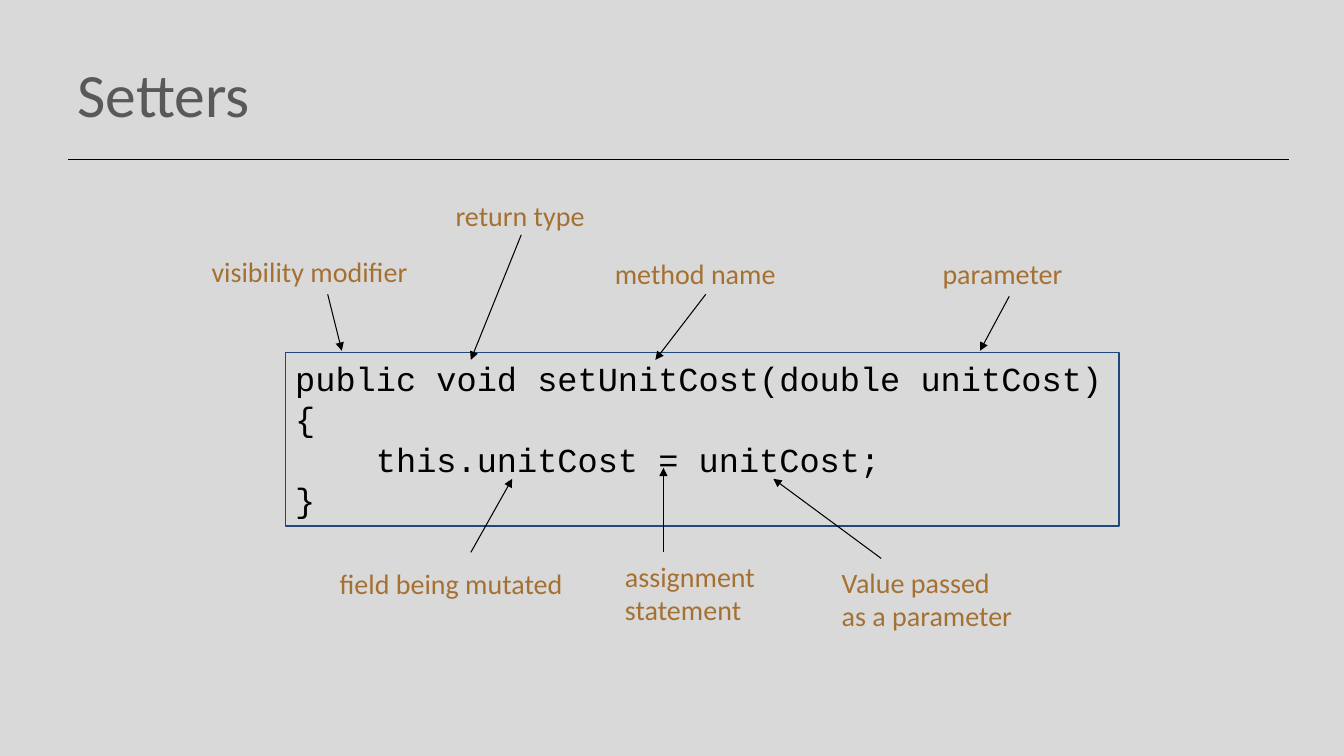
from dataclasses import dataclass

from lxml import etree
from pptx import Presentation
from pptx.dml.color import RGBColor
from pptx.enum.shapes import MSO_CONNECTOR as Connector, MSO_SHAPE as Shape
from pptx.enum.text import MSO_ANCHOR as Anchor, MSO_AUTO_SIZE as AutoSize, PP_ALIGN as Align
from pptx.oxml.ns import qn
from pptx.util import Inches, Pt


@dataclass(frozen=True)
class Theme:
    background: str = "D9D9D9"
    heading: str = "595959"
    label: str = "A57133"
    ink: str = "000000"
    frame: str = "1F497D"
    body_font: str = "Calibri"
    code_font: str = "Courier New"
    heading_size: int = 44
    label_size: int = 20
    code_size: int = 24


def rgb(value):
    return RGBColor.from_string(value)


class SlideBuilder:
    def __init__(self, slide, theme):
        self.slide = slide
        self.theme = theme
        fill = slide.background.fill
        fill.solid()
        fill.fore_color.rgb = rgb(theme.background)

    def set_text(self, holder, text, font, size, color, anchor=Anchor.TOP, wrap=False):
        frame = holder.text_frame
        frame.text = text
        frame.word_wrap = wrap
        frame.auto_size = AutoSize.NONE if wrap else AutoSize.SHAPE_TO_FIT_TEXT
        frame.vertical_anchor = anchor
        for paragraph in frame.paragraphs:
            paragraph.alignment = Align.LEFT
            for run in paragraph.runs:
                run.font.name = font
                run.font.size = Pt(size)
                run.font.color.rgb = rgb(color)

    def title(self, text, left, top, width, height):
        heading = self.slide.shapes.add_textbox(*map(Inches, (left, top, width, height)))
        self.set_text(heading, text, self.theme.body_font, self.theme.heading_size,
                      self.theme.heading, Anchor.MIDDLE, wrap=True)

    def label(self, text, left, top, width):
        height = 0.44 + 0.33 * text.count("\n")
        caption = self.slide.shapes.add_textbox(*map(Inches, (left, top, width, height)))
        self.set_text(caption, text, self.theme.body_font, self.theme.label_size,
                      self.theme.label)

    def code(self, text, left, top, width, height):
        listing = self.slide.shapes.add_shape(
            Shape.RECTANGLE, *map(Inches, (left, top, width, height)))
        listing.shadow.inherit = False
        listing.fill.background()
        listing.line.color.rgb = rgb(self.theme.frame)
        listing.line.width = Pt(1)
        self.set_text(listing, text, self.theme.code_font, self.theme.code_size,
                      self.theme.ink)

    def line(self, start, end, weight=0.75, arrow=False):
        rule = self.slide.shapes.add_connector(
            Connector.STRAIGHT, *map(Inches, (*start, *end)))
        rule.line.color.rgb = rgb(self.theme.ink)
        rule.line.width = Pt(weight)
        properties = rule._element.spPr
        if arrow:
            etree.SubElement(properties.find(qn("a:ln")), qn("a:tailEnd"), type="triangle")
        etree.SubElement(properties, qn("a:effectLst"))


SETTER = """public void setUnitCost(double unitCost)
{
    this.unitCost = unitCost;
}"""

# Label text, (left, top, width), arrow start, arrow end
CALLOUTS = [
    ("return type", (4.42, 1.92, 1.49), (5.17, 2.33), (4.67, 3.57)),
    ("method name", (6, 2.5, 1.81), (7, 2.92), (6.5, 3.57)),
    ("parameter", (9.25, 2.5, 1.4), (10.01, 2.94), (9.72, 3.48)),
    ("visibility modifier", (2, 2.48, 2.17), (3.25, 2.92), (3.39, 3.48)),
    ("assignment\nstatement", (6.1, 5.5, 1.57), (6.58, 5.48), (6.58, 4.64)),
    ("field being mutated", (3.27, 5.57, 2.51), (4.67, 5.48), (5.08, 4.75)),
    ("Value passed\nas a parameter", (8.25, 5.56, 1.94), (8.74, 5.54), (7.67, 4.75)),
]


def main():
    deck = Presentation()
    deck.slide_width, deck.slide_height = Inches(13.33), Inches(7.5)
    builder = SlideBuilder(deck.slides.add_slide(deck.slide_layouts[6]), Theme())

    # Heading and its rule
    builder.line((0.67, 1.58), (12.78, 1.58), weight=1)
    builder.title("Setters", 0.67, 0.3, 12, 1.25)

    # Setter method
    builder.code(SETTER, 2.83, 3.5, 8.27, 1.72)

    # Labels pointing at the parts of the method
    for text, place, start, end in CALLOUTS:
        builder.label(text, *place)
        builder.line(start, end, arrow=True)

    deck.save("out.pptx")


if __name__ == "__main__":
    main()
